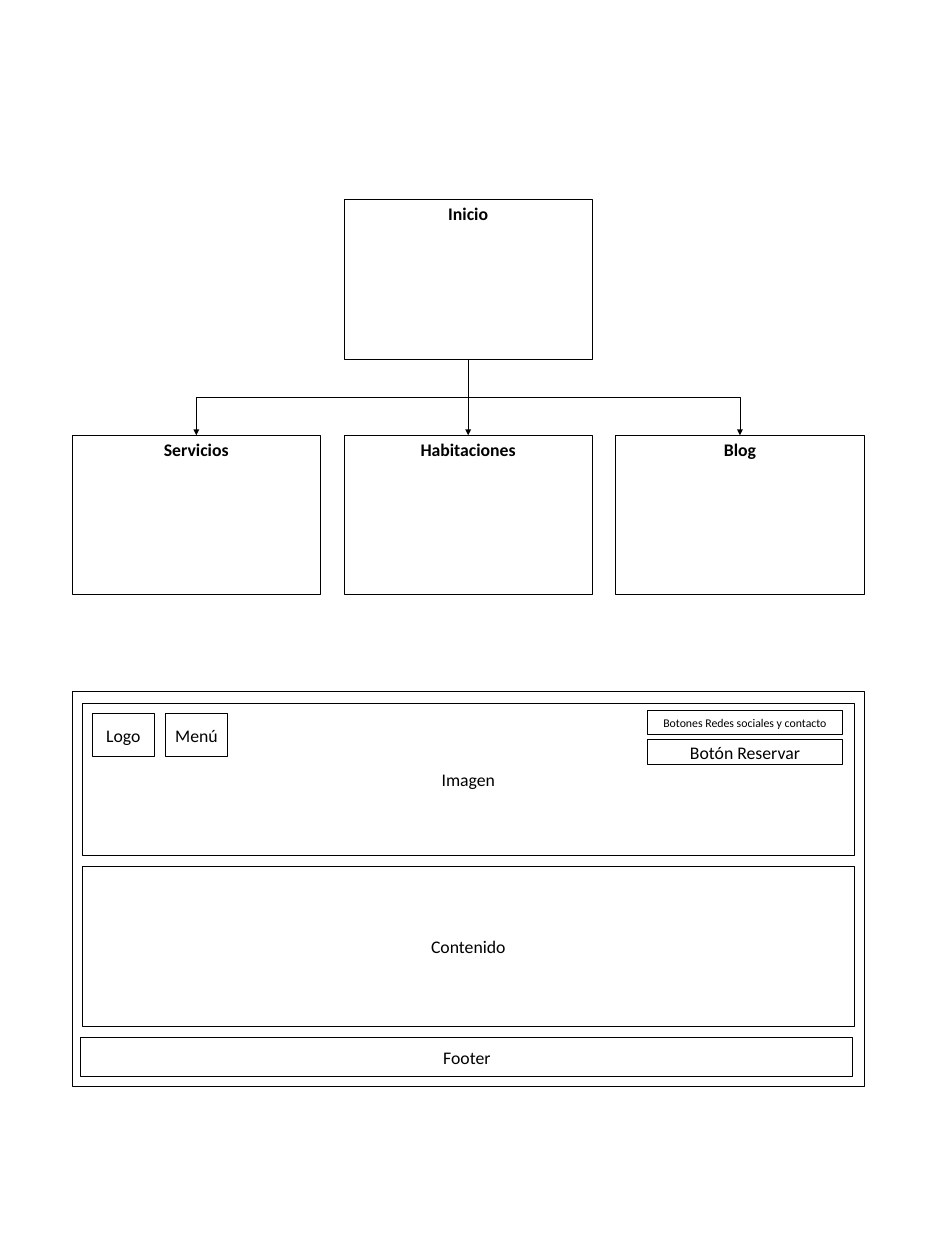
import pptx
import pptx.util
import pptx.dml.color
import pptx.enum.shapes
import pptx.enum.text
import pptx.oxml
import pptx.oxml.ns
from pptx.util import Cm

BLACK = pptx.dml.color.RGBColor(0, 0, 0)
WHITE = pptx.dml.color.RGBColor(255, 255, 255)
ANCHOR = pptx.enum.text.MSO_ANCHOR
KIND = pptx.enum.shapes.MSO_CONNECTOR
qn = pptx.oxml.ns.qn


class Sketch:
    font = "Calibri"

    def __init__(self, slide):
        self.slide = slide

    def box(self, x, y, w, h, text="", size=18, title=False, clear=False):
        shape = self.slide.shapes.add_shape(
            pptx.enum.shapes.MSO_SHAPE.RECTANGLE, Cm(x), Cm(y), Cm(w), Cm(h))
        shape.shadow.inherit = False
        if clear:
            shape.fill.background()
        else:
            shape.fill.solid()
            shape.fill.fore_color.rgb = WHITE
        shape.line.color.rgb = BLACK
        shape.line.width = pptx.util.Pt(1)
        if text:
            frame = shape.text_frame
            frame.text = text
            frame.vertical_anchor = ANCHOR.TOP if title else ANCHOR.MIDDLE
            par = frame.paragraphs[0]
            par.alignment = pptx.enum.text.PP_ALIGN.CENTER
            font = par.runs[0].font
            font.name, font.size = self.font, pptx.util.Pt(size)
            font.bold, font.color.rgb = title, BLACK
        return shape

    def arrow(self, top, low):
        """Join the bottom of one box to the top of a lower one."""
        shift = low.left - top.left
        kind = KIND.ELBOW if shift else KIND.STRAIGHT
        line = self.slide.shapes.add_connector(kind, 0, 0, 0, 0)
        line.begin_connect(top, 2)
        line.end_connect(low, 0)
        if shift:
            self.turn(line, shift)
        line.line.color.rgb = BLACK
        line.line.width = pptx.util.Pt(0.5)
        head = pptx.oxml.parse_xml(
            '<a:tailEnd %s type="triangle"/>' % pptx.oxml.ns.nsdecls("a"))
        line.line._get_or_add_ln().append(head)
        line._element.spPr.append(pptx.oxml.parse_xml(
            "<a:effectLst %s/>" % pptx.oxml.ns.nsdecls("a")))

    def turn(self, line, shift):
        """Rotate an elbow so that it leaves and arrives vertically."""
        wide, drop = line.width, line.height
        midx, midy = line.left + wide // 2, line.top + drop // 2
        line.left, line.top = midx - drop // 2, midy - wide // 2
        line.width, line.height = drop, wide
        frame = line._element.spPr.find(qn("a:xfrm"))
        frame.attrib.pop("flipH", None)
        frame.set("rot", "5400000" if shift < 0 else "16200000")
        if shift > 0:
            frame.set("flipH", "1")


def main():
    deck = pptx.Presentation()
    deck.slide_width, deck.slide_height = Cm(33.86), Cm(45.16)
    page = Sketch(deck.slides.add_slide(deck.slide_layouts[6]))

    # Site map
    left, step, wide, high = 2.59, 9.74, 8.89, 5.72
    home = page.box(left + step, 7.16, wide, high, "Inicio", title=True)
    for i, name in enumerate(("Servicios", "Habitaciones", "Blog")):
        child = page.box(left + i * step, 15.6, wide, high, name, title=True)
        page.arrow(home, child)

    # Page frame
    page.box(left, 24.79, 28.37, 14.15)

    # Header items, under the clear image area
    for i, name in enumerate(("Logo", "Menú")):
        page.box(3.3 + i * 2.62, 25.58, 2.24, 1.55, name)
    page.box(23.19, 25.45, 7.01, 0.89, "Botones Redes sociales y contacto", 12)
    page.box(23.19, 26.52, 7.01, 0.89, "Botón Reservar")

    # Page bands
    band = 27.66
    page.box(2.95, 25.22, band, 5.44, "Imagen", clear=True)
    page.box(2.95, 31.06, band, 5.74, "Contenido")
    page.box(2.9, 37.19, band, 1.4, "Footer")

    deck.save("out.pptx")


if __name__ == "__main__":
    main()
